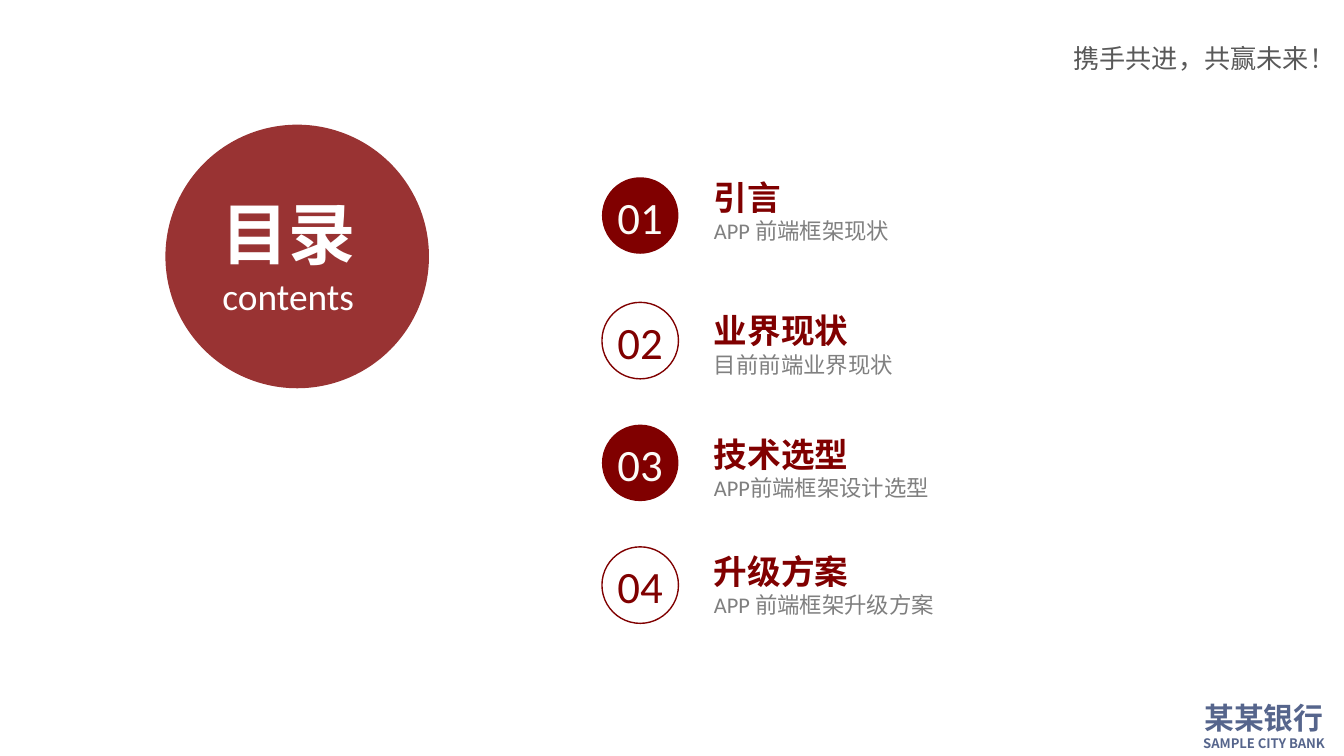
import pptx
import pptx.dml.color
import pptx.enum.shapes
import pptx.enum.text
import pptx.oxml.ns
import pptx.util
from lxml import etree

Pt = pptx.util.Pt
RGBColor = pptx.dml.color.RGBColor
qn = pptx.oxml.ns.qn
ALIGN = pptx.enum.text.PP_ALIGN

MAROON = RGBColor(0x80, 0x00, 0x00)
WHITE = RGBColor(0xFF, 0xFF, 0xFF)
IVORY = RGBColor(0xFC, 0xFB, 0xF7)
GRAY = RGBColor(0x80, 0x80, 0x80)
LIGHT_GRAY = RGBColor(0x7F, 0x7F, 0x7F)
DARK_GRAY = RGBColor(0x59, 0x59, 0x59)
BANK_BLUE = RGBColor(0x56, 0x65, 0x8C)

LATIN = "Calibri"
CJK = "Noto Sans CJK SC"

# title, description, description colour, circle top, text top
CHAPTERS = [
    ("引言", "APP 前端框架现状", GRAY, 95, 95),
    ("业界现状", "目前前端业界现状", GRAY, 162, 166.3),
    ("技术选型", "APP前端框架设计选型", LIGHT_GRAY, 227.5, 232.6),
    ("升级方案", "APP 前端框架升级方案", LIGHT_GRAY, 293, 295.2),
]


def write(paragraph, text, *, size, color, bold=False, font=LATIN, align=ALIGN.LEFT):
    """Put one formatted run into the paragraph."""
    paragraph.alignment = align
    run = paragraph.add_run()
    run.text = text
    run.font.size = Pt(size)
    run.font.bold = bold
    run.font.name = font
    run.font.color.rgb = color
    east_asian = etree.SubElement(run.font._element, qn("a:ea"))
    east_asian.set("typeface", CJK)


class ContentsSlide:
    def __init__(self, presentation):
        self.slide = presentation.slides.add_slide(presentation.slide_layouts[6])

    def circle(self, left, top, diameter, fill=None, line=None, opacity=100):
        shape = self.slide.shapes.add_shape(
            pptx.enum.shapes.MSO_SHAPE.OVAL,
            Pt(left), Pt(top), Pt(diameter), Pt(diameter))
        shape.shadow.inherit = False
        if fill is None:
            shape.fill.background()
        else:
            shape.fill.solid()
            shape.fill.fore_color.rgb = fill
        if line is None:
            shape.line.fill.background()
        else:
            shape.line.color.rgb = line
            shape.line.width = Pt(0.75)
        if opacity < 100:
            color = shape._element.spPr.find(".//" + qn("a:srgbClr"))
            etree.SubElement(color, qn("a:alpha")).set("val", str(opacity * 1000))

    def text(self, left, top, width, height, lines, margins=(0, 0), wrap=True, **style):
        """Add a text box; each line is (text, format), style applies to all lines."""
        box = self.slide.shapes.add_textbox(Pt(left), Pt(top), Pt(width), Pt(height))
        frame = box.text_frame
        frame.word_wrap = wrap
        frame.margin_left = frame.margin_right = Pt(margins[0])
        frame.margin_top = frame.margin_bottom = Pt(margins[1])
        for index, (text, line_style) in enumerate(lines):
            paragraph = frame.add_paragraph() if index else frame.paragraphs[0]
            write(paragraph, text, **style, **line_style)
        return frame

    def chapter(self, number, title, description, description_color, circle_top, text_top):
        filled = number % 2 == 1
        self.circle(322.5, circle_top, 41,
                    fill=MAROON if filled else None,
                    line=None if filled else MAROON)
        self.text(322.5, circle_top + 6.5, 41, 29, [(f"{number:02}", {})],
                  size=24, color=IVORY if filled else MAROON, align=ALIGN.CENTER)
        self.text(382.5, text_top, 272, 36, [
            (title, {"size": 18, "color": MAROON, "bold": True}),
            (description, {"size": 12, "color": description_color}),
        ])


def main():
    presentation = pptx.Presentation()
    presentation.slide_width = Pt(720)
    presentation.slide_height = Pt(405)
    contents = ContentsSlide(presentation)

    slogan = contents.text(568, 19.4, 146.2, 22.3, [("携手共进，共赢未来！", {})],
                           margins=(7.2, 3.6), size=14, color=DARK_GRAY, font=CJK)
    slogan.paragraphs[0].space_before = Pt(2.8)
    contents.text(637.2, 371.5, 80, 35.3,
                  [("某某银行", {"size": 16}), ("SAMPLE CITY BANK", {"size": 7})],
                  margins=(7.2, 3.6), wrap=False, color=BANK_BLUE, bold=True,
                  font=CJK, align=ALIGN.CENTER)

    contents.circle(88.6, 66.8, 141.2, fill=MAROON, opacity=80)
    contents.text(100.2, 103, 108.5, 67.7, [
        ("目录", {"size": 36, "bold": True}),
        ("contents", {"size": 20}),
    ], color=WHITE, align=ALIGN.CENTER)

    for number, chapter in enumerate(CHAPTERS, start=1):
        contents.chapter(number, *chapter)

    presentation.save("out.pptx")


if __name__ == "__main__":
    main()
